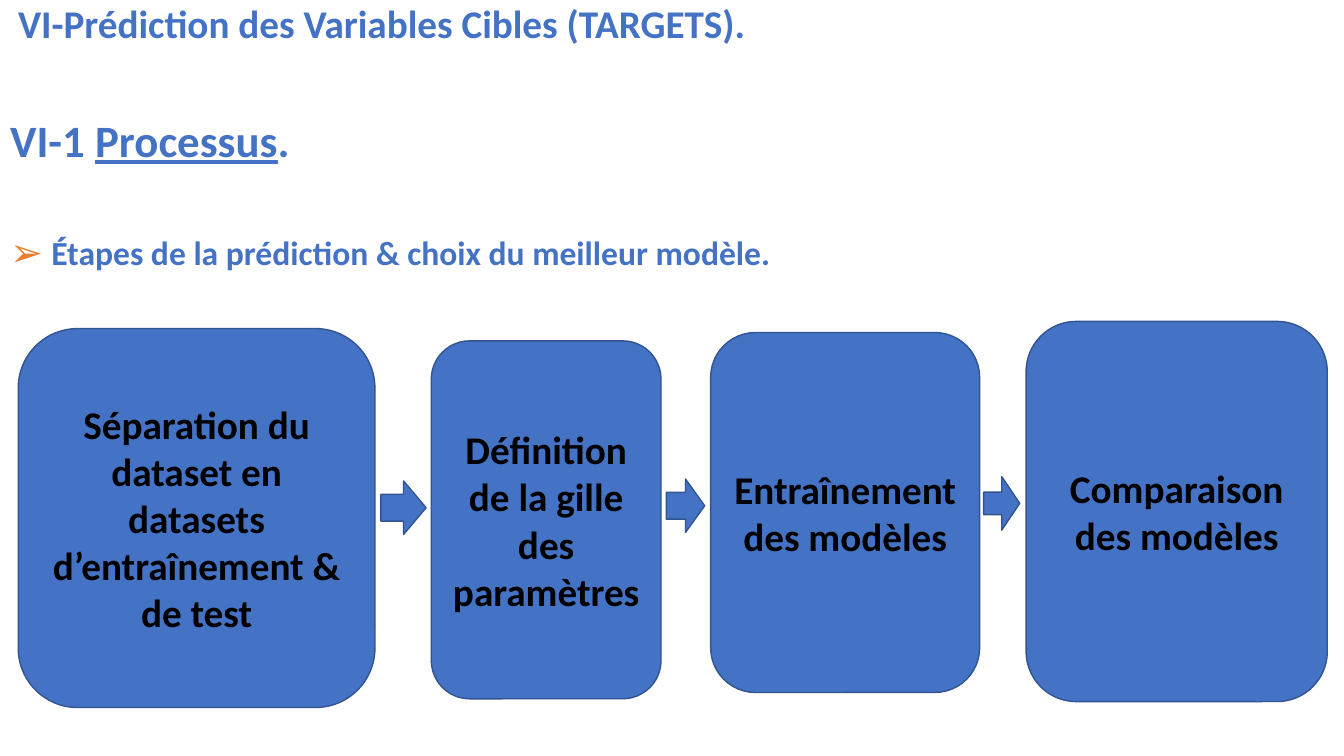
from lxml import etree
from pptx import Presentation
from pptx.dml.color import RGBColor
from pptx.enum.shapes import MSO_SHAPE
from pptx.enum.text import MSO_ANCHOR, MSO_AUTO_SIZE, PP_ALIGN
from pptx.oxml.ns import qn
from pptx.util import Cm, Pt

ROUNDED = MSO_SHAPE.ROUNDED_RECTANGLE
ARROW = MSO_SHAPE.RIGHT_ARROW
TOP, MIDDLE = MSO_ANCHOR.TOP, MSO_ANCHOR.MIDDLE
LEFT, CENTER = PP_ALIGN.LEFT, PP_ALIGN.CENTER
FIXED = MSO_AUTO_SIZE.NONE

COLORS = {"blue": "4472C4", "outline": "325491", "text": "000000", "bullet": "ED7D31"}

# left, top, width, height in cm, then the text
STEPS = [
    (0.46, 8.28, 8.99, 9.55, "Séparation du dataset en datasets d’entraînement & de test"),
    (10.87, 8.59, 5.79, 9.02, "Définition de la gille des paramètres"),
    (17.91, 8.38, 6.78, 9.07, "Entraînement des modèles"),
    (25.86, 8.1, 7.59, 9.58, "Comparaison des modèles"),
]
# left, top, width in cm, then the share of the height taken by the shaft
ARROWS = [(9.6, 12.12, 1.14, 0.5), (16.79, 12.07, 0.97, 0.5), (24.79, 12.01, 0.91, 0.42)]
ARROW_HEIGHT = 1.35


class Page:
    def __init__(self, deck):
        self.font = "Calibri"
        self.slide = deck.slides.add_slide(deck.slide_layouts[1])
        title = self.slide.shapes.title
        title.element.getparent().remove(title.element)

    def color(self, name):
        return RGBColor.from_string(COLORS[name])

    def span(self, para, text, size, color, underline=False):
        run = para.add_run()
        run.text = text
        run.font.name = self.font
        run.font.size = Pt(size)
        run.font.bold = True
        run.font.underline = underline
        run.font.color.rgb = self.color(color)

    def body(self, left, top, width, height):
        box = self.slide.placeholders[1]
        box.left, box.top, box.width, box.height = map(Cm, (left, top, width, height))
        frame = box.text_frame
        frame.word_wrap = True
        frame.auto_size = FIXED
        frame.vertical_anchor = TOP
        return frame

    def heading(self, para, spans, size, before=0, margin=0, bullet=None):
        """Fill a body paragraph; a bullet hangs to the left of the margin."""
        properties = para._p.get_or_add_pPr()
        properties.set("marL", str(Cm(margin)))
        properties.set("indent", str(-Cm(margin) if bullet else 0))
        if bullet:
            tint = etree.SubElement(properties, qn("a:buClr"))
            etree.SubElement(tint, qn("a:srgbClr"), val=COLORS["bullet"])
            etree.SubElement(properties, qn("a:buSzPct"), val="117000")
            etree.SubElement(properties, qn("a:buFont"), typeface=self.font)
            etree.SubElement(properties, qn("a:buChar"), char=bullet)
        else:
            etree.SubElement(properties, qn("a:buNone"))
        para.alignment = LEFT
        para.line_spacing = 0.9
        para.space_before = Pt(before)
        for text, underline in spans:
            self.span(para, text, size, "blue", underline)

    def shape(self, kind, left, top, width, height):
        shape = self.slide.shapes.add_shape(kind, *map(Cm, (left, top, width, height)))
        shape.shadow.inherit = False
        shape.fill.solid()
        shape.fill.fore_color.rgb = self.color("blue")
        shape.line.color.rgb = self.color("outline")
        shape.line.width = Pt(1)
        return shape

    def step(self, left, top, width, height, text):
        frame = self.shape(ROUNDED, left, top, width, height).text_frame
        frame.word_wrap = True
        frame.vertical_anchor = MIDDLE
        para = frame.paragraphs[0]
        para.alignment = CENTER
        self.span(para, text, 28, "text")

    def arrow(self, left, top, width, shaft):
        self.shape(ARROW, left, top, width, ARROW_HEIGHT).adjustments[0] = shaft


def main():
    deck = Presentation()
    deck.slide_width, deck.slide_height = Cm(33.87), Cm(19.05)
    page = Page(deck)

    frame = page.body(0, 0, 29.64, 17.12)
    page.heading(frame.paragraphs[0],
                 [("VI-Prédiction des Variables Cibles (TARGETS).", False)],
                 28, margin=0.2)
    page.heading(frame.add_paragraph(),
                 [("VI-1 ", False), ("Processus", True), (".", False)],
                 32, before=50.8)
    page.heading(frame.add_paragraph(),
                 [("Étapes de la prédiction & choix du meilleur modèle.", False)],
                 24, before=49.8, margin=1.04, bullet="➢")

    for step in STEPS:
        page.step(*step)
    for arrow in ARROWS:
        page.arrow(*arrow)
    deck.save("out.pptx")


if __name__ == "__main__":
    main()
